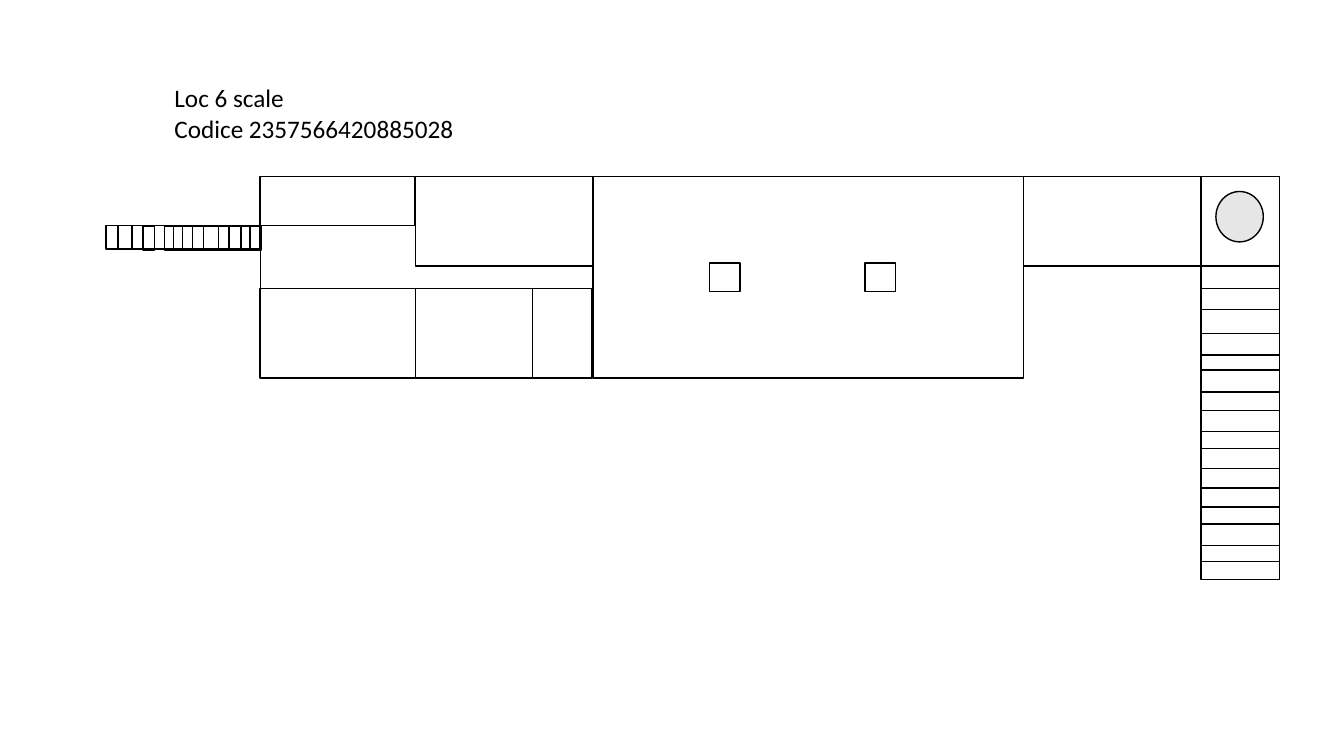
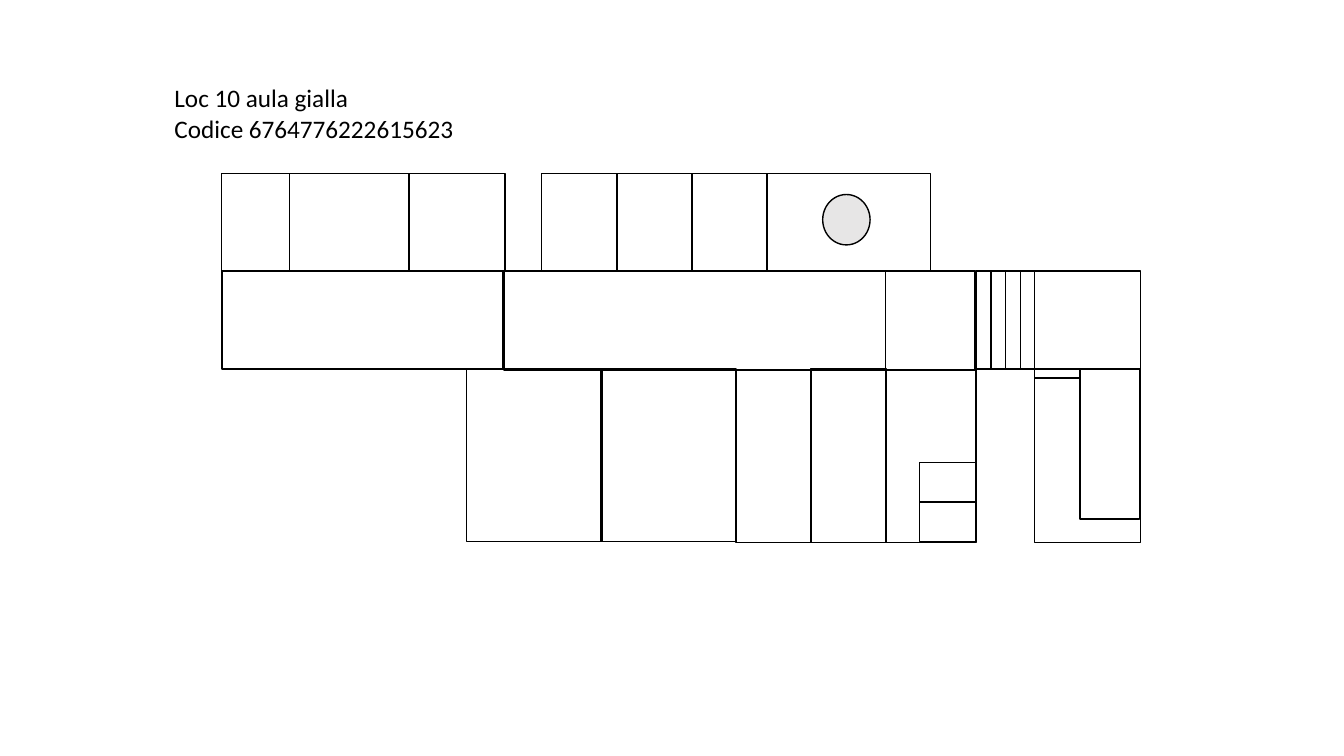
from pptx import Presentation
from pptx import util as u
from pptx.dml.color import RGBColor
from pptx.enum import shapes, text
from pptx.oxml.ns import qn
from lxml import etree

BLACK = RGBColor(0x00, 0x00, 0x00)
GREY = RGBColor(0xE7, 0xE6, 0xE6)
FONT = "Calibri"
MARKER_SIZE = (0.47, 0.5)

# rows: top, height, [(left, width)]; columns: left, width, [(top, height)]
PLANS = [
    {
        "title": ["Loc 6 scale", "Codice 2357566420885028"],
        "rows": [
            (1.75, 0.89, [(4.12, 1.76), (10.15, 1.76)]),
            (1.75, 2, [(5.88, 4.27)]),
            (2.61, 0.28, [(7.04, 0.3), (8.58, 0.3)]),
            (2.86, 0.89, [(2.58, 1.54), (4.12, 1.16), (5.28, 0.59)]),
            (1.75, 0.49, [(2.58, 1.53)]),
            (2.24, 0.23, [(1.05, 1.53), (1.17, 1.41), (1.31, 0.11),
                          (1.81, 0.77), (1.91, 0.67), (2.02, 0.15),
                          (2.27, 0.12), (2.48, 0.11)]),
            (2.25, 0.23, [(1.42, 0.11), (1.63, 0.96), (1.72, 0.86)]),
        ],
        "columns": [
            (11.91, 0.78, [(1.75, 4), (3.31, 2.26), (3.07, 2.34),
                           (2.86, 2.34), (2.64, 2.39), (3.52, 1.32),
                           (3.67, 0.98), (3.89, 0.56), (4.07, 0.21)]),
        ],
        "walls": [(2.58, 2, 2.58, 3.31)],
        "marker": (12.06, 1.9),
    },
    {
        "title": ["Loc 10 aula gialla", "Codice 6764776222615623"],
        "rows": [
            (1.72, 0.97, [(2.2, 0.67), (2.87, 1.19), (4.05, 0.96),
                          (5.37, 0.75), (6.12, 0.75), (6.86, 0.75),
                          (7.6, 1.63)]),
            (2.69, 0.97, [(2.2, 2.79), (9.68, 0.29), (9.83, 0.29),
                          (9.97, 0.29), (10.12, 1.19)]),
            (2.69, 0.98, [(5, 3.78), (8.78, 0.89)]),
            (3.66, 1.71, [(4.63, 1.34), (5.96, 1.34)]),
            (3.67, 1.71, [(7.3, 0.75), (8.78, 0.9)]),
            (3.66, 1.72, [(8.04, 0.75), (10.26, 1.05)]),
            (3.66, 0.09, [(10.26, 0.45)]),
            (3.66, 1.49, [(10.71, 0.59)]),
        ],
        "columns": [(9.12, 0.56, [(4.59, 0.39), (4.98, 0.39)])],
        "walls": [],
        "marker": (8.16, 1.93),
    },
]


def add_outline(s, kind, box, fill=None):
    sp = s.shapes.add_shape(kind, *map(u.Inches, box))
    sp.shadow.inherit = False
    if fill is None:
        sp.fill.background()
    else:
        sp.fill.solid()
        sp.fill.fore_color.rgb = fill
    sp.line.color.rgb = BLACK
    sp.line.width = u.Pt(1)


def add_wall(s, ends):
    cn = s.shapes.add_connector(shapes.MSO_CONNECTOR.STRAIGHT,
                                *map(u.Inches, ends))
    cn.line.color.rgb = BLACK
    cn.line.width = u.Pt(0.5)
    etree.SubElement(cn._element.spPr, qn("a:effectLst"))


def set_title(s, lines):
    sp = s.shapes.title
    sp.left, sp.top = u.Inches(1.63), u.Inches(0.77)
    sp.width, sp.height = u.Inches(3), u.Inches(0.71)
    tf = sp.text_frame
    tf.word_wrap = False
    tf.auto_size = text.MSO_AUTO_SIZE.SHAPE_TO_FIT_TEXT
    tf.vertical_anchor = text.MSO_ANCHOR.TOP
    for i, line in enumerate(lines):
        p = tf.add_paragraph() if i else tf.paragraphs[0]
        p.alignment = text.PP_ALIGN.LEFT
        r = p.add_run()
        r.text = line
        r.font.name = FONT
        r.font.size = u.Pt(18)
        r.font.color.rgb = BLACK


def add_plan(prs, plan):
    s = prs.slides.add_slide(prs.slide_layouts[5])
    set_title(s, plan["title"])
    rooms = [(left, top, width, height)
             for top, height, spans in plan["rows"] for left, width in spans]
    rooms += [(left, top, width, height)
              for left, width, spans in plan["columns"] for top, height in spans]
    for room in rooms:
        add_outline(s, shapes.MSO_SHAPE.RECTANGLE, room)
    for wall in plan["walls"]:
        add_wall(s, wall)
    add_outline(s, shapes.MSO_SHAPE.OVAL, plan["marker"] + MARKER_SIZE, GREY)


def main():
    prs = Presentation()
    prs.slide_width, prs.slide_height = u.Inches(13.33), u.Inches(7.5)
    for plan in PLANS:
        add_plan(prs, plan)
    prs.save("out.pptx")


if __name__ == "__main__":
    main()
